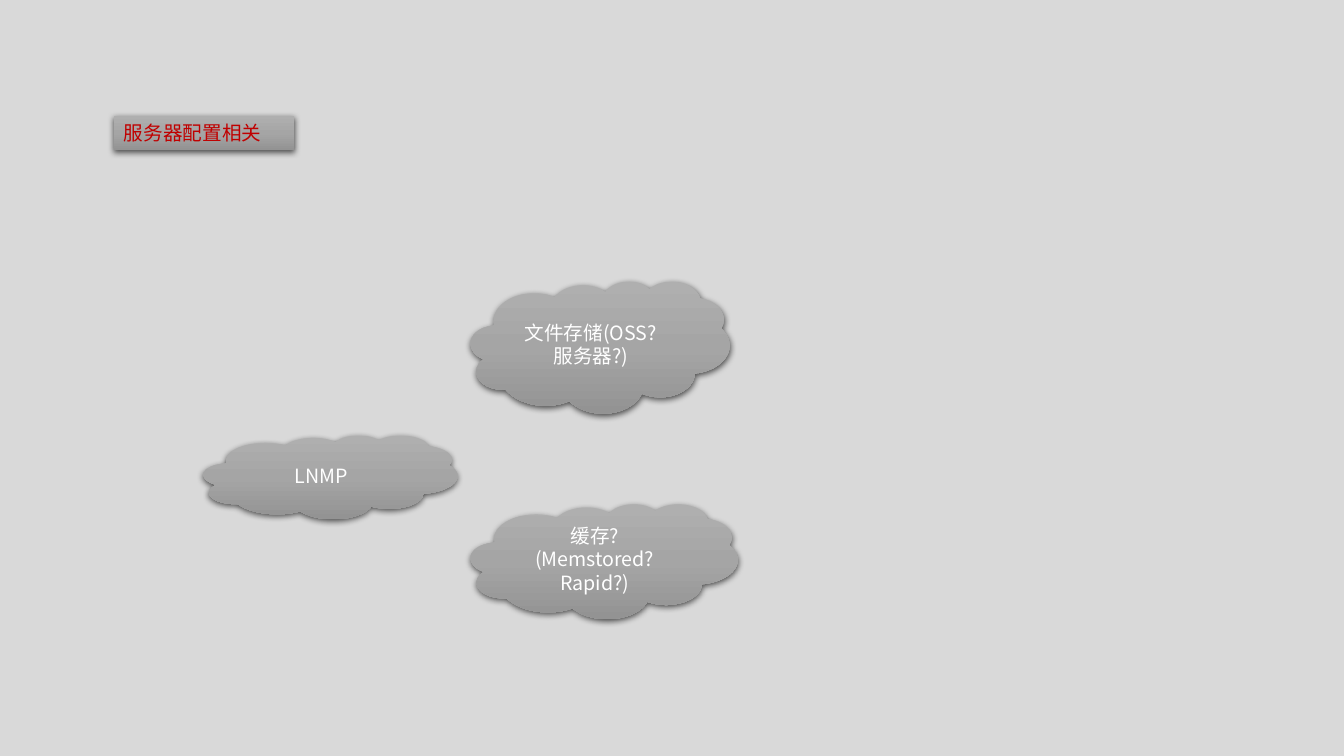
from copy import deepcopy

from lxml.etree import SubElement
from pptx import Presentation
from pptx.dml.color import RGBColor
from pptx.enum.shapes import MSO_SHAPE
from pptx.enum.text import MSO_ANCHOR, MSO_AUTO_SIZE, PP_ALIGN
from pptx.oxml.ns import qn
from pptx.util import Pt

COLORS = {
    "background": "D9D9D9",
    "top": "AFAFAF",
    "middle": "A5A5A5",
    "bottom": "939393",
    "shadow": "000000",
    "cloud_text": "FFFFFF",
    "title_text": "C00000",
}
FONT = "Noto Sans CJK SC"


def color(name):
    return RGBColor.from_string(COLORS[name])


def fill_gradient(shape):
    shape.fill.gradient()
    shape.fill.gradient_angle = 270
    stop_list = shape._element.spPr.find(qn("a:gradFill")).find(qn("a:gsLst"))
    stop_list.insert(1, deepcopy(stop_list[0]))
    for index, name in enumerate(("top", "middle", "bottom")):
        stop = shape.fill.gradient_stops[index]
        stop.color.rgb = color(name)
        stop.position = index / 2


def add_shadow(shape):
    shape.shadow.inherit = False
    effects = shape._element.spPr.find(qn("a:effectLst"))
    shadow = SubElement(effects, qn("a:outerShdw"), blurRad=str(Pt(4.5)),
                        dist=str(Pt(1.5)), dir="5400000", algn="ctr", rotWithShape="0")
    shade = SubElement(shadow, qn("a:srgbClr"), val=COLORS["shadow"])
    SubElement(shade, qn("a:alpha"), val="63000")


def write_text(shape, text, text_color, align, anchor, size=14):
    frame = shape.text_frame
    frame.word_wrap = True
    frame.vertical_anchor = anchor
    frame.text = text
    for para in frame.paragraphs:
        para.alignment = align
        for span in para.runs:
            span.font.size = Pt(size)
            span.font.name = FONT
            span.font.color.rgb = color(text_color)
            SubElement(span.font._element, qn("a:ea"), typeface=FONT)


def add_panel(page, kind, box):
    shape = page.shapes.add_shape(kind, *(Pt(length) for length in box))
    fill_gradient(shape)
    shape.line.fill.background()
    add_shadow(shape)
    return shape


def add_cloud(page, box, text):
    cloud = add_panel(page, MSO_SHAPE.CLOUD, box)
    write_text(cloud, text, text_color="cloud_text",
               align=PP_ALIGN.CENTER, anchor=MSO_ANCHOR.MIDDLE)


def add_title(page, box, text):
    title = add_panel(page, MSO_SHAPE.RECTANGLE, box)
    write_text(title, text, text_color="title_text",
               align=PP_ALIGN.LEFT, anchor=MSO_ANCHOR.TOP)
    title.text_frame.auto_size = MSO_AUTO_SIZE.SHAPE_TO_FIT_TEXT


def build_server_slide(deck):
    page = deck.slides.add_slide(deck.slide_layouts[6])
    page.background.fill.solid()
    page.background.fill.fore_color.rgb = color("background")
    clouds = [
        ((145.4, 311, 181.4, 59.8), "LNMP"),
        ((336.2, 200.9, 185, 94.3), "文件存储(OSS? 服务器?)"),
        ((336.2, 360, 190.8, 82.1), "缓存?\n(Memstored? Rapid?)"),
    ]
    for box, text in clouds:
        add_cloud(page, box, text)
    add_title(page, (81.4, 82.8, 128.9, 24.5), "服务器配置相关")


deck = Presentation()
deck.slide_width, deck.slide_height = Pt(960), Pt(540)
build_server_slide(deck)
deck.save("out.pptx")
